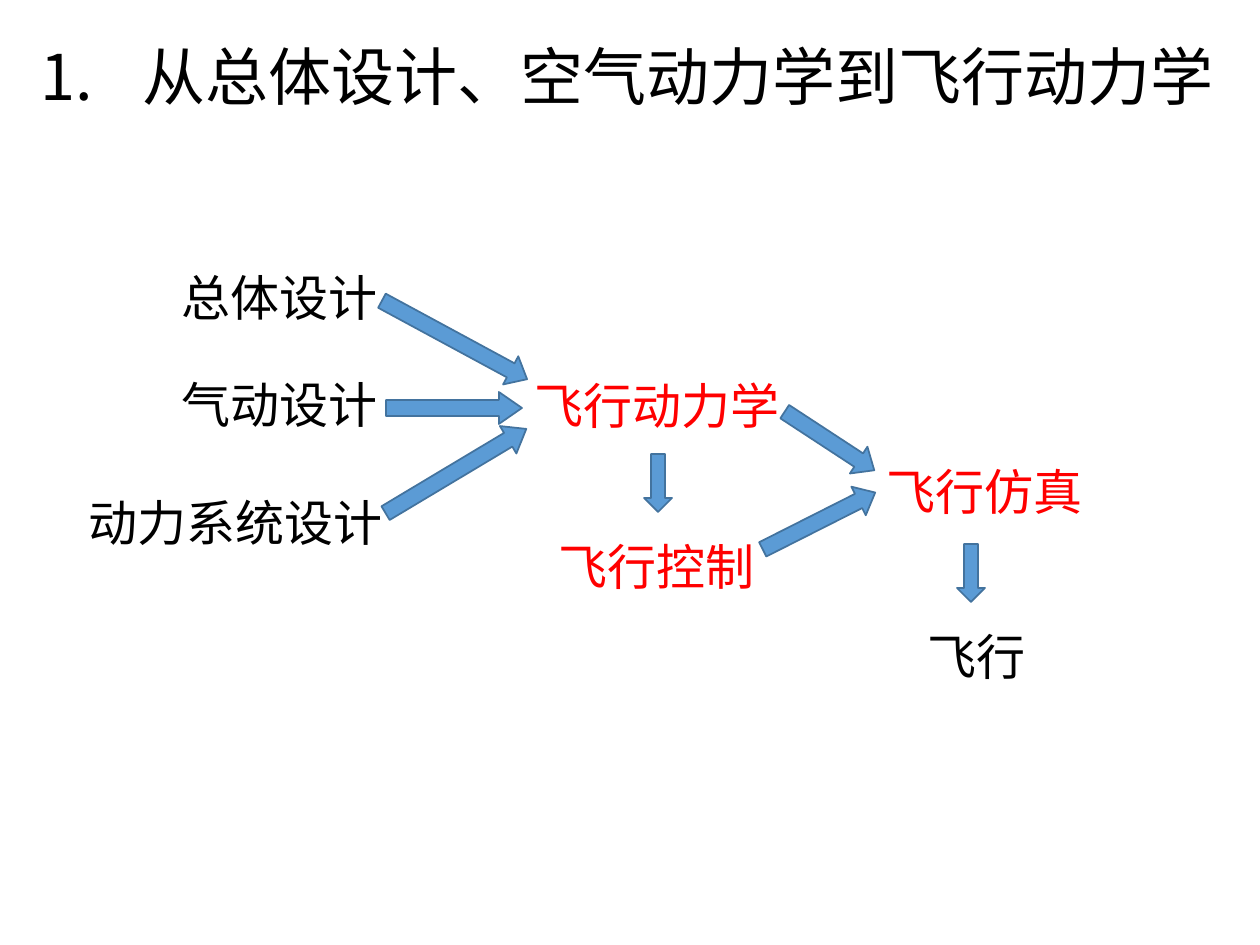
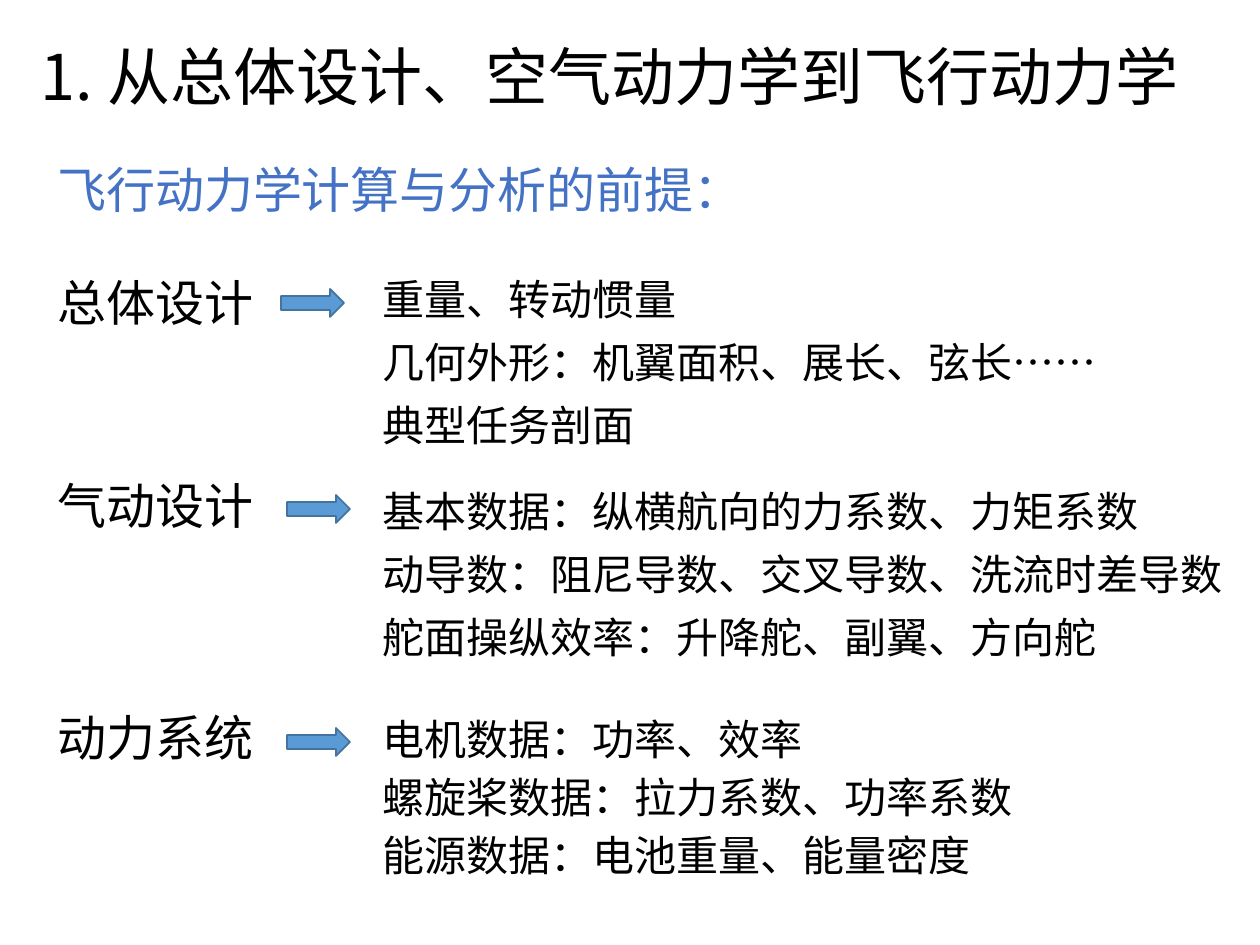
from dataclasses import dataclass
from lxml import etree
from pptx import Presentation
from pptx import util as u
from pptx.dml.color import RGBColor
from pptx.enum import shapes, text
from pptx.enum.lang import MSO_LANGUAGE_ID
from pptx.oxml.ns import qn

SCALE = 914400 / 126  # EMU in one px


@dataclass(frozen=True)
class Theme:
    ink: str = "000000"
    red: str = "FF0000"
    blue: str = "4472C4"
    fill: str = "5B9BD5"
    edge: str = "43739E"
    latin: str = "Calibri"
    cjk: str = "Noto Sans CJK SC"
    title: int = 36
    label: int = 28
    item: int = 24
    gap: int = 10


@dataclass(frozen=True)
class Box:
    x: int
    y: int
    w: int
    h: int


@dataclass(frozen=True)
class Node:
    words: str
    box: Box
    color: str


@dataclass(frozen=True)
class Arrow:
    box: Box
    turn: float = 0
    head: float = 0.5


@dataclass(frozen=True)
class Topic:
    label: str
    top: int
    arrow: Box
    list_box: Box
    lines: tuple[str, ...]
    pitch: float = 0.9


T = Theme()
TITLE = "从总体设计、空气动力学到飞行动力学"
TITLE_BOX = Box(28, 20, 1217, 121)
INDENT = 102
ROW = 67   # height of a design label
TALL = 72  # height of a flight label

# Slide 1: design inputs, flight topics and the arrows between them
INPUTS = (
    Node("总体设计", Box(169, 268, 236, ROW), T.ink),
    Node("气动设计", Box(169, 375, 236, ROW), T.ink),
    Node("动力系统设计", Box(76, 493, 320, ROW), T.ink),
)
FLIGHT = (
    Node("飞行动力学", Box(522, 369, 273, TALL), T.red),
    Node("飞行控制", Box(546, 530, 223, TALL), T.red),
    Node("飞行仿真", Box(874, 455, 223, TALL), T.red),
    Node("飞行", Box(915, 620, 125, TALL), T.ink),
)
FLOWS = (
    Arrow(Box(372, 324, 165, 32), 28.4, 0.58),
    Arrow(Box(386, 392, 136, 32), 0, 0.72),
    Arrow(Box(374, 455, 164, 32), 329.1, 0.66),
    Arrow(Box(629, 469, 58, 28), 90),
    Arrow(Box(776, 425, 107, 32), 33.2, 0.58),
    Arrow(Box(756, 505, 126, 32), 333.2, 0.58),
    Arrow(Box(942, 559, 58, 28), 90),
)

# Slide 2: what each design field supplies
LEAD = Node("飞行动力学计算与分析的前提：", Box(45, 160, 1137, ROW), T.blue)
TOPICS = (
    Topic("总体设计", 273, Box(281, 289, 63, 28), Box(370, 273, 818, 185),
          ("重量、转动惯量", "几何外形：机翼面积、展长、弦长……", "典型任务剖面")),
    Topic("气动设计", 476, Box(287, 495, 63, 28), Box(370, 485, 874, 188),
          ("基本数据：纵横航向的力系数、力矩系数",
           "动导数：阻尼导数、交叉导数、洗流时差导数",
           "舵面操纵效率：升降舵、副翼、方向舵")),
    Topic("动力系统", 708, Box(287, 728, 63, 28), Box(370, 717, 785, 180),
          ("电机数据：功率、效率", "螺旋桨数据：拉力系数、功率系数",
           "能源数据：电池重量、能量密度"), 0.8),
)


def px(n: float) -> u.Emu:
    return u.Emu(round(n * SCALE))


def rgb(code: str) -> RGBColor:
    return RGBColor.from_string(code)


def place(shape, box: Box) -> None:
    shape.left, shape.top = px(box.x), px(box.y)
    shape.width, shape.height = px(box.w), px(box.h)


def bullet(para, number: bool) -> None:
    """Number the paragraph with a hanging indent, or clear its bullet."""
    props = para._p.get_or_add_pPr()
    indent = px(INDENT) if number else 0
    props.set("marL", str(indent))
    props.set("indent", str(-indent))
    if number:
        etree.SubElement(props, qn("a:buFont")).set("typeface", T.cjk)
        mark = etree.SubElement(props, qn("a:buAutoNum"))
        mark.set("type", "arabicPeriod")
    else:
        etree.SubElement(props, qn("a:buNone"))


def write(shape, lines: tuple[str, ...], size: int, color: str = T.ink,
          face: str = T.latin, pitch: float = 0.9, wrap: bool = True,
          number: bool = False) -> None:
    frame = shape.text_frame
    frame.text = "\n".join(lines)
    frame.word_wrap = wrap
    frame.auto_size = text.MSO_AUTO_SIZE.NONE
    for i, para in enumerate(frame.paragraphs):
        bullet(para, number)
        para.alignment = text.PP_ALIGN.LEFT
        para.line_spacing = pitch
        para.space_before = u.Pt(T.gap if i else 0)
        for run in para.runs:
            font = run.font
            font.size, font.name = u.Pt(size), face
            font.color.rgb = rgb(color)
            font.language_id = MSO_LANGUAGE_ID.SIMPLIFIED_CHINESE
            east = etree.Element(qn("a:ea"))
            east.set("typeface", T.cjk)
            run._r.rPr.find(qn("a:latin")).addnext(east)


def add_box(slide, box: Box):
    return slide.shapes.add_textbox(px(box.x), px(box.y), px(box.w), px(box.h))


def add_label(slide, node: Node, first: bool = False) -> None:
    """The first label of a slide fills its body placeholder."""
    shape = slide.placeholders[1] if first else add_box(slide, node.box)
    place(shape, node.box)
    write(shape, (node.words,), T.label, node.color)


def add_arrow(slide, arrow: Arrow) -> None:
    box = arrow.box
    shape = slide.shapes.add_shape(shapes.MSO_SHAPE.RIGHT_ARROW, px(box.x),
                                   px(box.y), px(box.w), px(box.h))
    shape.rotation = arrow.turn
    shape.adjustments[1] = arrow.head
    shape.shadow.inherit = False
    shape.fill.solid()
    shape.fill.fore_color.rgb = rgb(T.fill)
    shape.line.color.rgb = rgb(T.edge)
    shape.line.width = u.Pt(1)


def add_slide(deck, title: str, number: bool = False):
    slide = deck.slides.add_slide(deck.slide_layouts[1])
    head = slide.shapes.title
    place(head, TITLE_BOX)
    write(head, (title,), T.title, face=T.cjk, number=number)
    head.text_frame.vertical_anchor = text.MSO_ANCHOR.MIDDLE
    return slide


def draw_flow(deck) -> None:
    slide = add_slide(deck, TITLE, number=True)
    for i, node in enumerate(INPUTS):
        add_label(slide, node, first=i == 0)
    for node in FLIGHT:
        write(add_box(slide, node.box), (node.words,), T.label, node.color,
              T.cjk, pitch=1.0, wrap=False)
    for arrow in FLOWS:
        add_arrow(slide, arrow)


def draw_needs(deck) -> None:
    slide = add_slide(deck, "1. " + TITLE)
    for i, topic in enumerate(TOPICS):
        node = Node(topic.label, Box(45, topic.top, 236, ROW), T.ink)
        add_label(slide, node, first=i == 0)
        add_arrow(slide, Arrow(topic.arrow))
        write(add_box(slide, topic.list_box), topic.lines, T.item,
              pitch=topic.pitch)
    add_label(slide, LEAD)


def main() -> None:
    deck = Presentation()
    deck.slide_width, deck.slide_height = u.Inches(10), u.Inches(7.5)
    draw_flow(deck)
    draw_needs(deck)
    deck.save("out.pptx")


if __name__ == "__main__":
    main()
